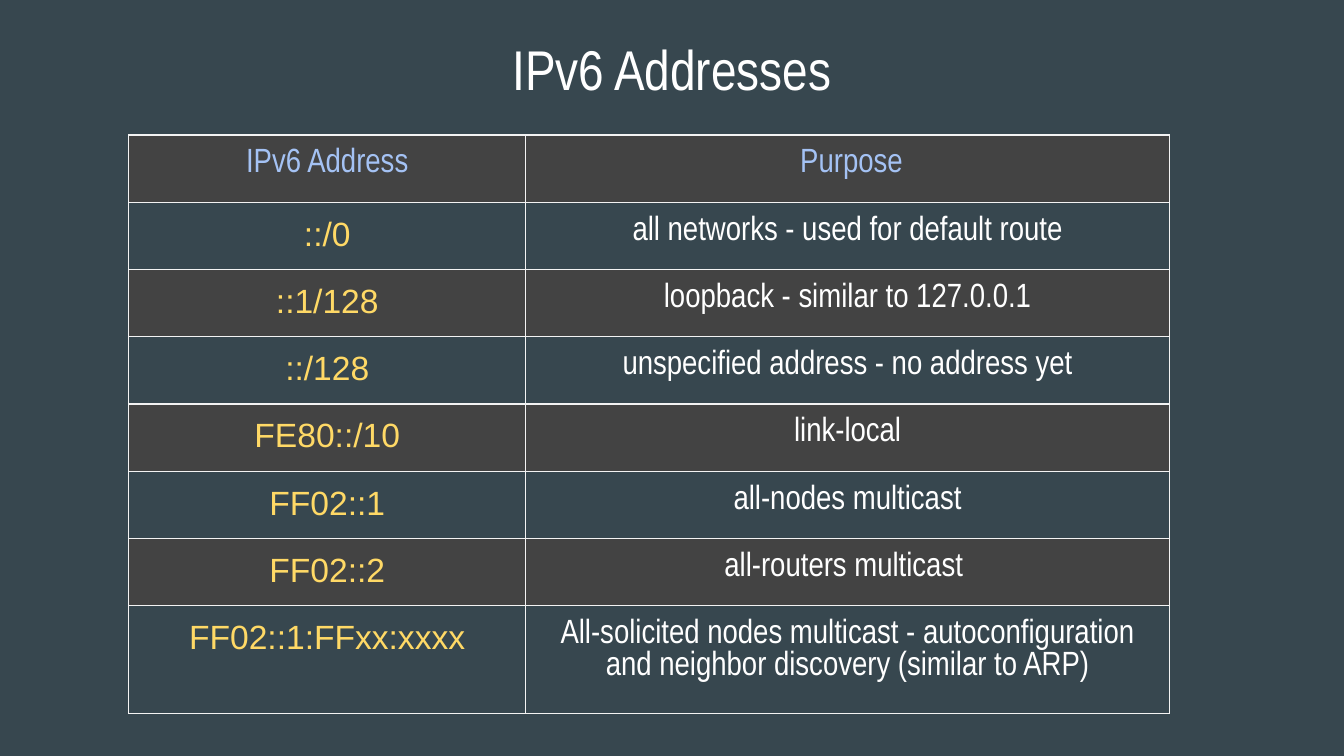
from lxml import etree
from pptx import Presentation
from pptx.dml.color import RGBColor
from pptx.enum.text import MSO_ANCHOR, PP_ALIGN
from pptx.oxml.ns import qn
from pptx.util import Pt

COLORS = {
    "background": "37474F",
    "band": "434343",
    "border": "F3F3F3",
    "header": "A4C2F4",
    "address": "FFD966",
    "text": "FFFFFF",
}
ROWS = [
    ("IPv6 Address", " Purpose"),
    ("::/0", "all networks - used for default route"),
    ("::1/128", "loopback - similar to 127.0.0.1"),
    ("::/128", "unspecified address - no address yet"),
    ("FE80::/10", "link-local"),
    ("FF02::1", "all-nodes multicast"),
    ("FF02::2", "all-routers multicast "),
    ("FF02::1:FFxx:xxxx",
     "All-solicited nodes multicast - autoconfiguration "
     "and neighbor discovery (similar to ARP)"),
]
COLUMN_WIDTHS = [212.7, 344.9]
ROW_HEIGHTS = [33.8] * 7 + [54.6]


def write_centered(frame, text, size, font_name, color):
    paragraph = frame.paragraphs[0]
    paragraph.alignment = PP_ALIGN.CENTER
    run = paragraph.add_run()
    run.text = text
    run.font.size = Pt(size)
    run.font.name = font_name
    run.font.bold = False
    run.font.color.rgb = RGBColor.from_string(COLORS[color])


def add_borders(cell):
    properties = cell._tc.get_or_add_tcPr()
    for position, side in enumerate(("a:lnL", "a:lnR", "a:lnT", "a:lnB")):
        line = etree.Element(qn(side), w=str(Pt(0.75)))
        fill = etree.SubElement(line, qn("a:solidFill"))
        etree.SubElement(fill, qn("a:srgbClr"), val=COLORS["border"])
        properties.insert(position, line)


prs = Presentation()
prs.slide_width = Pt(720)
prs.slide_height = Pt(405)
slide = prs.slides.add_slide(prs.slide_layouts[6])
slide.background.fill.solid()
slide.background.fill.fore_color.rgb = RGBColor.from_string(COLORS["background"])

title = slide.shapes.add_textbox(Pt(24.5), Pt(11.1), Pt(671), Pt(45.4)).text_frame
title.word_wrap = True
title.vertical_anchor = MSO_ANCHOR.TOP
title.margin_top = title.margin_bottom = Pt(7.5)
write_centered(title, "IPv6 Addresses", 30, "Arial Narrow", "text")

table_frame = slide.shapes.add_table(
    len(ROWS), len(COLUMN_WIDTHS), Pt(69), Pt(72.3), Pt(236.2), Pt(236.2))
table = table_frame.table
table.first_row = False
table.horz_banding = False
for column, width in zip(table.columns, COLUMN_WIDTHS):
    column.width = Pt(width)
for row, height in zip(table.rows, ROW_HEIGHTS):
    row.height = Pt(height)
table_frame.width = table_frame.height = Pt(236.2)

for r, texts in enumerate(ROWS):
    for c, text in enumerate(texts):
        cell = table.cell(r, c)
        cell.margin_left = cell.margin_right = Pt(7.2)
        cell.margin_top = cell.margin_bottom = Pt(7.2)
        if r % 2 == 0:
            cell.fill.solid()
            cell.fill.fore_color.rgb = RGBColor.from_string(COLORS["band"])
        else:
            cell.fill.background()
        add_borders(cell)
        if r == 0:
            font_name, color = "Arial Narrow", "header"
        elif c == 0:
            font_name, color = "Arial", "address"
        else:
            font_name, color = "Arial Narrow", "text"
        write_centered(cell.text_frame, text, 18, font_name, color)

prs.save("out.pptx")
